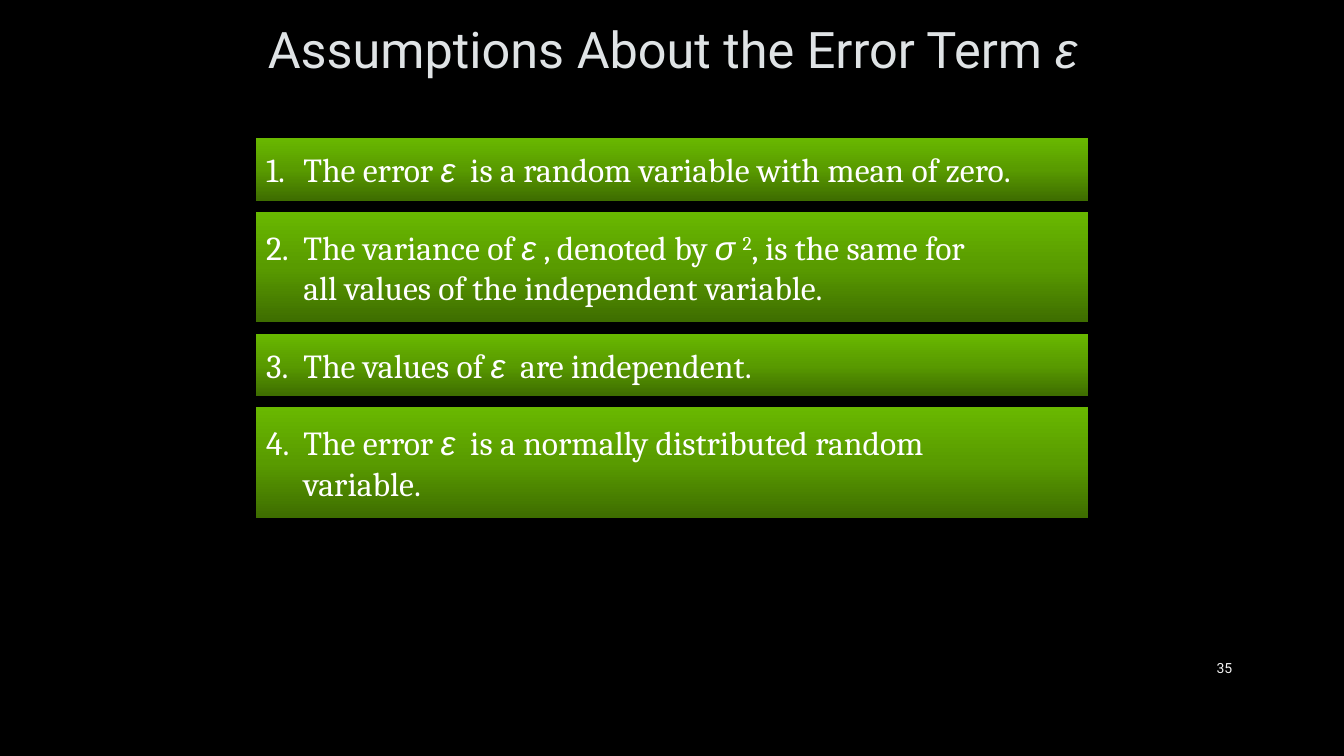
import copy

import pptx
import pptx.dml.color
import pptx.enum.shapes
import pptx.enum.text
import pptx.util

Inches = pptx.util.Inches
RGBColor = pptx.dml.color.RGBColor
Align = pptx.enum.text.PP_ALIGN

BLACK = RGBColor(0x00, 0x00, 0x00)
WHITE = RGBColor(0xFF, 0xFF, 0xFF)
TITLE_GREY = RGBColor(0xDF, 0xE3, 0xE5)
NUMBER_GREY = RGBColor(0xF2, 0xF2, 0xF2)
GREEN_STOPS = [
    (0, RGBColor(0x3E, 0x6D, 0x00)),
    (0.5, RGBColor(0x59, 0x9B, 0x00)),
    (1, RGBColor(0x69, 0xB8, 0x00)),
]

GREEK = "εσ"
HANGING_INDENT = 0.37
GAP = 0.11
BAR_HEIGHTS = {1: 0.62, 2: 1.1}  # by number of text lines

# Each assumption is a list of lines; ^ marks the superscript digit
ASSUMPTIONS = [
    ["The error ε  is a random variable with mean of zero."],
    ["The variance of ε , denoted by σ ^2, is the same for",
     "all values of the independent variable."],
    ["The values of ε  are independent."],
    ["The error ε  is a normally distributed random", "variable."],
]


def write(paragraph, text, font, size, color):
    """Add text, with Greek letters in italic Arial and ^ raising a digit."""
    pieces = [""]
    for letter in text:
        if letter in GREEK:
            pieces += [letter, ""]
        elif letter == "^":
            pieces.append("^")
        elif pieces[-1] == "^":
            pieces[-1] += letter
            pieces.append("")
        else:
            pieces[-1] += letter
    for piece in filter(None, pieces):
        run = paragraph.add_run()
        run.text = piece.lstrip("^")
        greek = piece in GREEK
        run.font.name = "Arial" if greek else font
        run.font.italic = greek
        run.font.size = pptx.util.Pt(size)
        run.font.color.rgb = color
        if piece.startswith("^"):
            run.font._element.set("baseline", "30000")


def fill_green(bar):
    bar.fill.gradient()
    bar.fill.gradient_angle = 90
    stop_list = bar.fill._fill._gradFill.gsLst
    stop_list.insert(1, copy.deepcopy(stop_list[0]))
    for stop, (position, color) in zip(bar.fill.gradient_stops, GREEN_STOPS):
        stop.position = position
        stop.color.rgb = color


def add_title(slide, left, top, width, height):
    title = slide.shapes.title
    title.left, title.top = Inches(left), Inches(top)
    title.width, title.height = Inches(width), Inches(height)
    frame = title.text_frame
    frame.auto_size = pptx.enum.text.MSO_AUTO_SIZE.NONE
    frame.vertical_anchor = pptx.enum.text.MSO_ANCHOR.MIDDLE
    frame.paragraphs[0].alignment = Align.CENTER
    write(frame.paragraphs[0], "Assumptions About the Error Term ε",
          "Roboto", 36, TITLE_GREY)


def add_assumption(slide, number, lines, left, top, width, height):
    bar = slide.shapes.add_shape(
        pptx.enum.shapes.MSO_SHAPE.RECTANGLE,
        Inches(left), Inches(top), Inches(width), Inches(height))
    bar.shadow.inherit = False
    bar.line.fill.background()
    fill_green(bar)
    frame = bar.text_frame
    frame.word_wrap = True
    frame.vertical_anchor = pptx.enum.text.MSO_ANCHOR.MIDDLE
    paragraph = frame.paragraphs[0]
    paragraph.alignment = Align.LEFT
    # Hanging indent: the tab after the number ends at the left margin
    properties = paragraph._p.get_or_add_pPr()
    properties.set("marL", str(Inches(HANGING_INDENT)))
    properties.set("indent", str(-Inches(HANGING_INDENT)))
    write(paragraph, f"{number}.\t{lines[0]}", "Cambria", 24, WHITE)
    for line in lines[1:]:
        paragraph.add_line_break()
        write(paragraph, line, "Cambria", 24, WHITE)


def add_assumptions(slide, left, top, width):
    for number, lines in enumerate(ASSUMPTIONS, start=1):
        height = BAR_HEIGHTS[len(lines)]
        add_assumption(slide, number, lines, left, top, width, height)
        top += height + GAP


def add_page_number(slide, left, top, width, height):
    page_number = slide.shapes.add_textbox(
        Inches(left), Inches(top), Inches(width), Inches(height))
    frame = page_number.text_frame
    frame.word_wrap = True
    frame.vertical_anchor = pptx.enum.text.MSO_ANCHOR.MIDDLE
    frame.paragraphs[0].alignment = Align.RIGHT
    write(frame.paragraphs[0], "35", "Roboto", 10, NUMBER_GREY)


def main():
    deck = pptx.Presentation()
    deck.slide_width, deck.slide_height = Inches(13.33), Inches(7.5)
    slide = deck.slides.add_slide(deck.slide_layouts.get_by_name("Title Only"))
    slide.background.fill.solid()
    slide.background.fill.fore_color.rgb = BLACK

    add_title(slide, 2.42, 0.19, 8.5, 0.57)
    add_assumptions(slide, 2.54, 1.37, 8.25)
    add_page_number(slide, 11.5, 6.43, 0.82, 0.4)
    deck.save("out.pptx")


if __name__ == "__main__":
    main()
